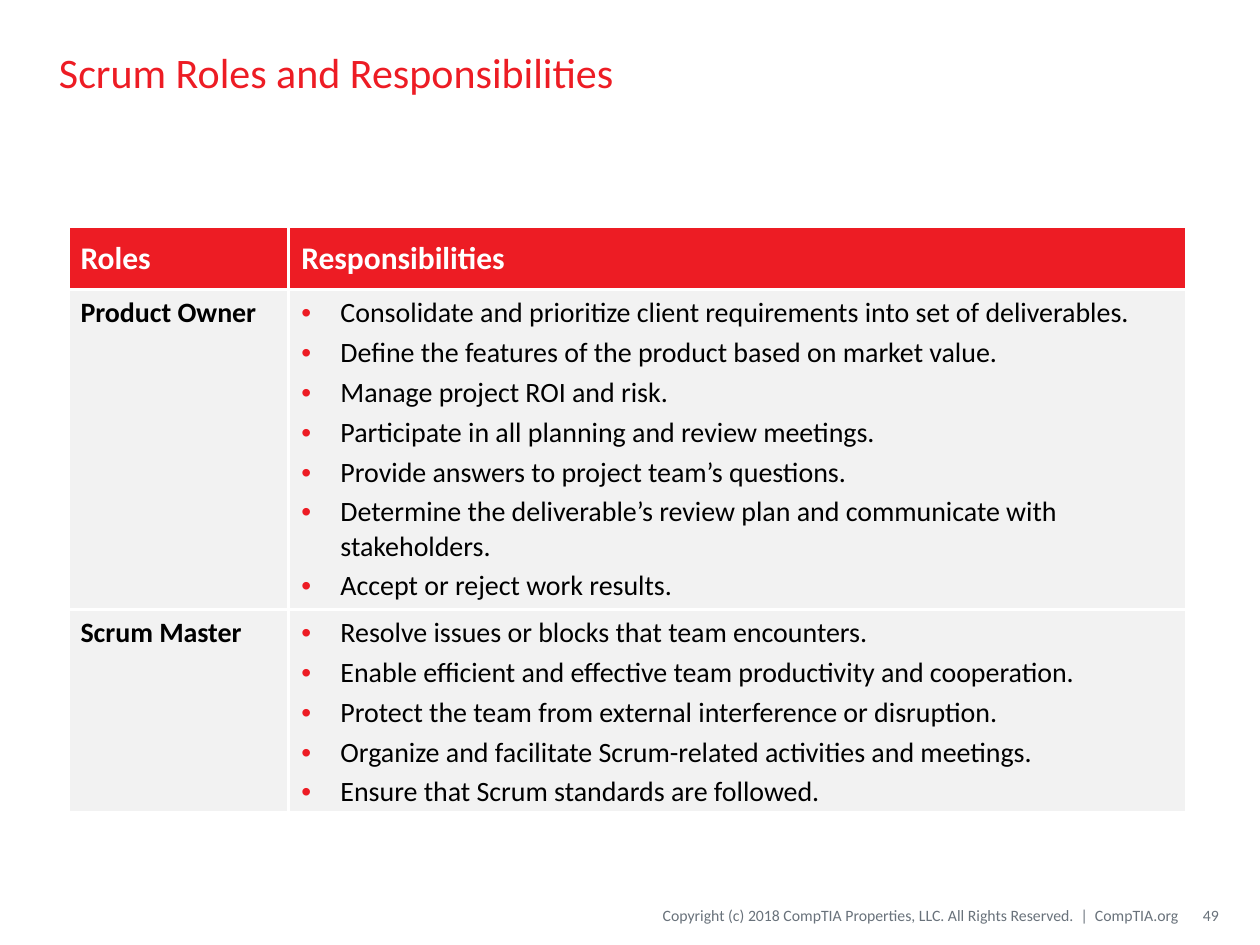
import dataclasses
import typing

import lxml.etree
import pptx
import pptx.dml.color
import pptx.enum.text
import pptx.oxml
import pptx.oxml.ns
import pptx.util

Cm = pptx.util.Cm
Pt = pptx.util.Pt
Align = pptx.enum.text.PP_ALIGN
Anchor = pptx.enum.text.MSO_ANCHOR

RED, WHITE, PALE, BLACK, GREY = "ED1C24", "FFFFFF", "F2F2F2", "000000", "69727B"


@dataclasses.dataclass
class Style:
    size: int
    hue: str
    bold: bool = False


@dataclasses.dataclass
class Label:
    text: str
    box: tuple[float, float, float, float]
    style: Style
    align: typing.Any = Align.LEFT
    inset: tuple[float, float] = (0.25, 0.25)


@dataclasses.dataclass
class Role:
    name: str
    height: float
    duties: list[str]


HEAD = Style(18, WHITE, True)
NAME = Style(16, BLACK, True)
DUTY = Style(16, BLACK)
FOOT = Style(9, GREY)

LABELS = [
    Label("Copyright (c) 2018 CompTIA Properties, LLC. All Rights Reserved.  |  CompTIA.org",
          (9.86, 18.08, 13.89, 0.76), FOOT, Align.RIGHT, (0, 0)),
    Label("Scrum Roles and Responsibilities", (0.94, 0.28, 23.5, 2.34), Style(24, RED)),
    Label("49", (23.83, 18.08, 0.74, 0.76), FOOT, Align.RIGHT, (0.25, 0)),
]

ROLES = [
    Role("Product Owner", 6.45, [
        "Consolidate and prioritize client requirements into set of deliverables.",
        "Define the features of the product based on market value.",
        "Manage project ROI and risk.",
        "Participate in all planning and review meetings.",
        "Provide answers to project team’s questions.",
        "Determine the deliverable’s review plan and communicate with stakeholders.",
        "Accept or reject work results.",
    ]),
    Role("Scrum Master", 4.1, [
        "Resolve issues or blocks that team encounters.",
        "Enable efficient and effective team productivity and cooperation.",
        "Protect the team from external interference or disruption.",
        "Organize and facilitate Scrum-related activities and meetings.",
        "Ensure that Scrum standards are followed.",
    ]),
]


def tint(code: str) -> pptx.dml.color.RGBColor:
    return pptx.dml.color.RGBColor.from_string(code)


def apply(item: typing.Any, values: dict[str, typing.Any]) -> None:
    for key, value in values.items():
        setattr(item, key, value)


def write(para: typing.Any, text: str, style: Style) -> None:
    run = para.add_run()
    run.text = text
    apply(run.font, {"name": "Calibri", "size": Pt(style.size), "bold": style.bold})
    run.font.color.rgb = tint(style.hue)


def add_node(parent: typing.Any, tag: str, **values: str) -> typing.Any:
    node = lxml.etree.SubElement(parent, pptx.oxml.ns.qn(tag))
    for key, value in values.items():
        node.set(key, value)
    return node


def add_dot(para: typing.Any) -> None:
    props = para._p.get_or_add_pPr()
    props.set("marL", str(Cm(0.79)))
    props.set("indent", str(-Cm(0.79)))
    add_node(add_node(props, "a:buClr"), "a:srgbClr", val=str(tint(RED)))
    add_node(props, "a:buFont", typeface="Arial")
    add_node(props, "a:buChar", char="•")


def draw_label(slide: typing.Any, label: Label) -> None:
    frame = slide.shapes.add_textbox(*map(Cm, label.box)).text_frame
    left, right = label.inset
    apply(frame, {"word_wrap": True, "vertical_anchor": Anchor.MIDDLE,
                  "margin_left": Cm(left), "margin_right": Cm(right)})
    para = frame.paragraphs[0]
    para.alignment = label.align
    write(para, label.text, label.style)


def fill_cell(cell: typing.Any, lines: list[str], style: Style, back: str,
              anchor: typing.Any = Anchor.TOP, dots: bool = False) -> None:
    props = cell._tc.get_or_add_tcPr()
    for side in ("a:lnL", "a:lnR", "a:lnT", "a:lnB"):
        edge = add_node(props, side, w=str(Pt(2.25)))
        add_node(add_node(edge, "a:solidFill"), "a:srgbClr", val=str(tint(WHITE)))
    cell.fill.solid()
    cell.fill.fore_color.rgb = tint(back)
    cell.vertical_anchor = anchor
    frame = cell.text_frame
    for index, line in enumerate(lines):
        para = frame.add_paragraph() if index else frame.paragraphs[0]
        if dots:
            add_dot(para)
        if index:
            para.space_before = Pt(style.size * 0.2)
        write(para, line, style)


def draw_table(slide: typing.Any, roles: list[Role]) -> None:
    widths = [4.45, 18.11]
    heights = [1.27] + [role.height for role in roles]
    table = slide.shapes.add_table(
        len(heights), len(widths), Cm(1.37), Cm(4.57), Cm(sum(widths)), Cm(sum(heights))).table
    for column, width in zip(table.columns, widths):
        column.width = Cm(width)
    for row, height in zip(table.rows, heights):
        row.height = Cm(height)
    for index, title in enumerate(["Roles", "Responsibilities"]):
        fill_cell(table.cell(0, index), [title], HEAD, RED, Anchor.MIDDLE)
    for index, role in enumerate(roles, 1):
        fill_cell(table.cell(index, 0), [role.name], NAME, PALE)
        fill_cell(table.cell(index, 1), role.duties, DUTY, PALE, dots=True)


def main() -> None:
    deck = pptx.Presentation()
    apply(deck, {"slide_width": Cm(25.4), "slide_height": Cm(19.05)})
    slide = deck.slides.add_slide(deck.slide_layouts[6])
    for label in LABELS:
        draw_label(slide, label)
    draw_table(slide, ROLES)
    deck.save("out.pptx")


if __name__ == "__main__":
    main()
